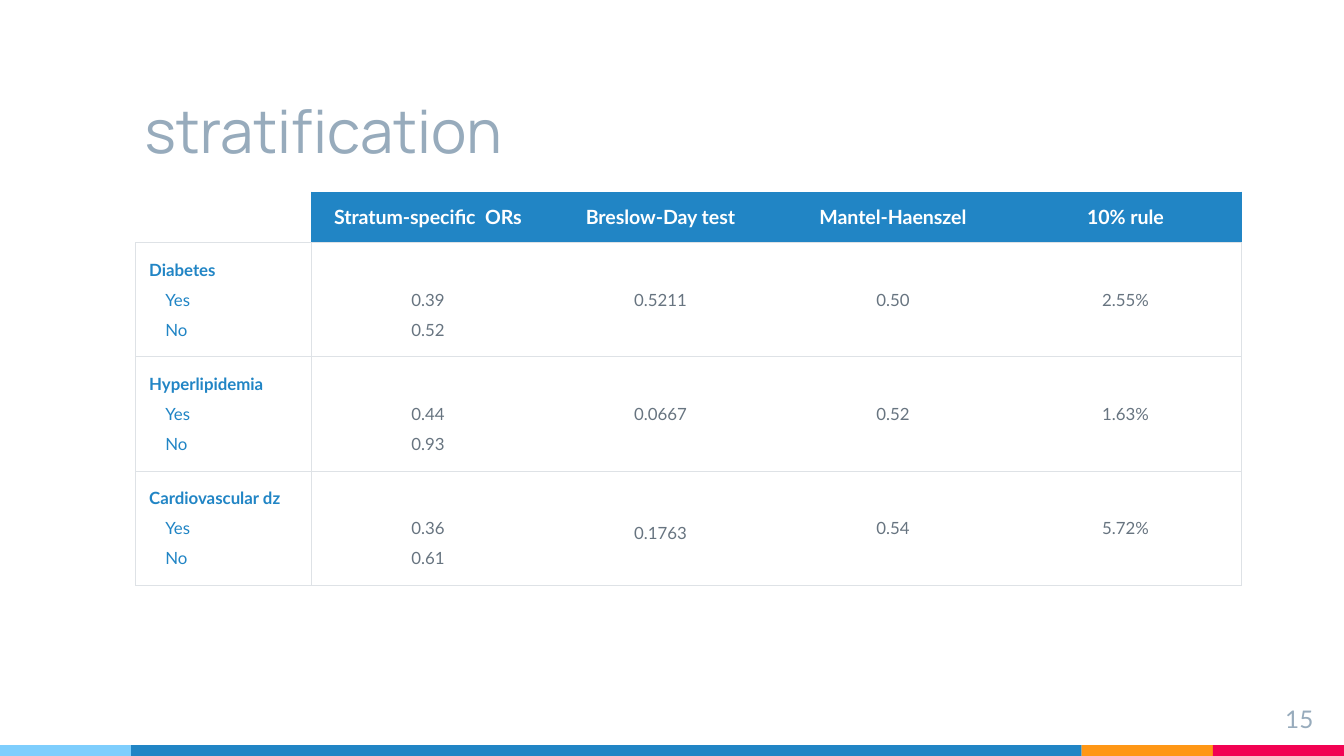
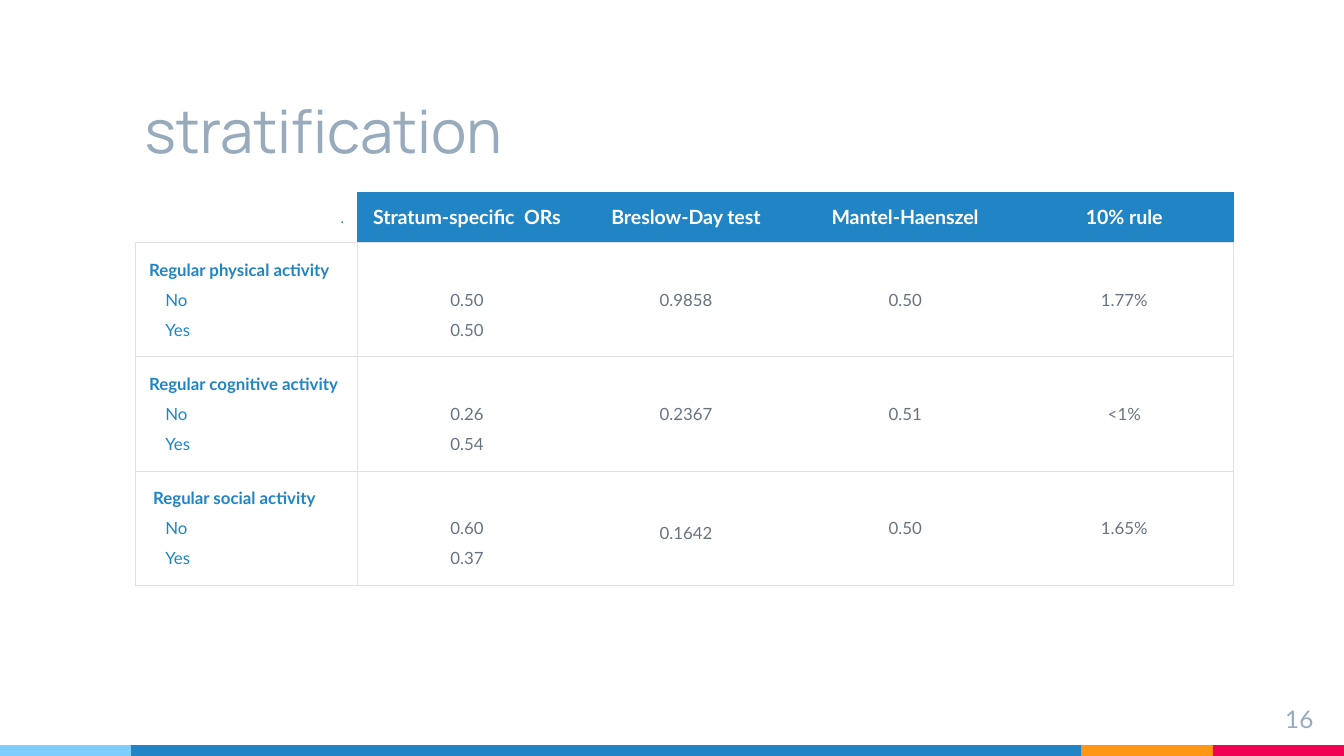
import pptx
import pptx.util
import pptx.dml.color
import pptx.enum.shapes
import pptx.enum.text
import pptx.oxml
import pptx.oxml.ns

Inch = pptx.util.Inches
Align = pptx.enum.text.PP_ALIGN
Anchor = pptx.enum.text.MSO_ANCHOR

# Shared look
BLUE, SKY, ORANGE, RED = "2185C5", "7ECEFD", "FF9715", "F20253"
WHITE, GREY, SLATE, RULE = "FFFFFF", "677480", "97ABBC", "DEE2E6"
HEAD, BODY = "Manrope", "Lato"
WIDE = 10
HIGH = WIDE * 9 / 16
UNIT = WIDE * 0.0976  # width of a short band
THIN = 0.08
BANDS = [(SKY, 0, UNIT), (BLUE, UNIT, WIDE - 3 * UNIT),
         (ORANGE, WIDE - 2 * UNIT, UNIT), (RED, WIDE - UNIT, UNIT)]
PAD = 0.1
LEFT, TOP = 1.01, 1.43
ROWS = [0.37, 0.85, 0.85, 0.85]
STEP = 0.225  # height of one spaced line in a cell
NO_STYLE = "{2D5ABB26-0587-4C30-8999-92F81FD0307C}"
HEADS = ["Stratum-specific  ORs", "Breslow-Day test", "Mantel-Haenszel", "10% rule"]

# Per slide: number, corner text, first and other column widths, answers,
# then per group: name, odds ratios, test, pooled ratio, change
PAGES = [
    ("15", "", 1.31, 1.73, ["Yes", "No"], [
        ("Diabetes", ["0.39", "0.52"], "0.5211", "0.50", "2.55%"),
        ("Hyperlipidemia", ["0.44", "0.93"], "0.0667", "0.52", "1.63%"),
        ("Cardiovascular dz", ["0.36", "0.61"], "0.1763", "0.54", "5.72%")]),
    ("16", ".", 1.65, 1.63, ["No", "Yes"], [
        ("Regular physical activity", ["0.50", "0.50"], "0.9858", "0.50", "1.77%"),
        ("Regular cognitive activity", ["0.26", "0.54"], "0.2367", "0.51", "<1%"),
        ("Regular social activity", ["0.60", "0.37"], "0.1642", "0.50", "1.65%")]),
]


def color(code):
    return pptx.dml.color.RGBColor.from_string(code)


def write(frame, lines, size, code, face=BODY, align=Align.LEFT):
    frame.text = "\n".join(lines)
    for par in frame.paragraphs:
        par.alignment = align
        par.font.size = pptx.util.Pt(size)
        par.font.name = face
        par.font.bold = False
        par.font.color.rgb = color(code)
    return frame.paragraphs


deck = pptx.Presentation()
deck.slide_width, deck.slide_height = Inch(WIDE), Inch(HIGH)

for number, corner, first, other, answers, groups in PAGES:
    slide = deck.slides.add_slide(deck.slide_layouts[5])

    # Bands along the bottom
    for code, left, width in BANDS:
        band = slide.shapes.add_shape(
            pptx.enum.shapes.MSO_SHAPE.RECTANGLE,
            Inch(left), Inch(HIGH - THIN), Inch(width), Inch(THIN))
        band.shadow.inherit = False
        band.fill.solid()
        band.fill.fore_color.rgb = color(code)
        band.line.fill.background()

    # Title and page number
    title = slide.shapes.title
    title.left, title.top = Inch(UNIT), Inch(0.39)
    title.width, title.height = Inch(WIDE - 3 * UNIT), Inch(0.94)
    page = slide.shapes.add_textbox(Inch(9.27), Inch(5.14), Inch(0.6), Inch(0.34))
    for box in (title, page):
        frame = box.text_frame
        frame.word_wrap = True
        frame.auto_size = pptx.enum.text.MSO_AUTO_SIZE.NONE
        frame.margin_left = frame.margin_right = Inch(PAD)
        frame.margin_top = frame.margin_bottom = Inch(PAD)
    title.text_frame.vertical_anchor = Anchor.BOTTOM
    write(title.text_frame, ["stratification"], 32, SLATE, HEAD)
    write(page.text_frame, [number], 13, SLATE, align=Align.RIGHT)

    # Table grid
    cols = [first] + [other] * len(HEADS)
    holder = slide.shapes.add_table(
        len(ROWS), len(cols), Inch(LEFT), Inch(TOP), Inch(sum(cols)), Inch(sum(ROWS)))
    for style in holder.element.iter(pptx.oxml.ns.qn("a:tableStyleId")):
        style.text = NO_STYLE
    table = holder.table
    table.first_row = table.horz_banding = False
    for col, width in zip(table.columns, cols):
        col.width = Inch(width)
    for row, height in zip(table.rows, ROWS):
        row.height = Inch(height)

    # Cell text
    cells = [[[corner]] + [[head] for head in HEADS]]
    for name, ratios, *rest in groups:
        cells.append([[name] + answers, ratios] + [[value] for value in rest])
    last = len(cols) - 1
    for r, line in enumerate(cells):
        for c, lines in enumerate(line):
            cell = table.cell(r, c)
            cell.vertical_anchor = Anchor.MIDDLE
            cell.margin_left = cell.margin_right = Inch(PAD)
            cell.margin_top = cell.margin_bottom = Inch(PAD if lines[0] else 0)
            if r == 0 and c == 0:
                write(cell.text_frame, lines, 8, BLUE, align=Align.RIGHT)
            elif r == 0:
                pars = write(cell.text_frame, lines, 10.5, WHITE, align=Align.CENTER)
                pars[0].font.bold = True
            elif c == 0:
                pars = write(cell.text_frame, lines, 9, BLUE)
                pars[0].font.bold = True
                if lines[0] == "Regular social activity":
                    pars[0]._p.get_or_add_pPr().set("marL", str(Inch(0.03)))
                for par in pars[1:]:
                    par.line_spacing = 1.5
                    par._p.get_or_add_pPr().set("marL", str(Inch(0.12)))
            else:
                pars = write(cell.text_frame, lines, 9, GREY, align=Align.CENTER)
                for par in pars[1:]:
                    par.line_spacing = 1.5
                if c == 1:
                    cell.margin_top = Inch(PAD + STEP)
                if (r, c) == (3, 2):
                    pars[0].line_spacing = 1.5

            # Cell borders, then fill
            edges = {"B": RULE}
            if r == 0:
                if c in (0, last):
                    edges["R"] = BLUE
                if c == 1:
                    edges["L"] = BLUE
                if c > 0:
                    edges["T"] = BLUE
            else:
                edges["T"] = RULE
                if c < 2:
                    edges["L"] = RULE
                if c in (0, last):
                    edges["R"] = RULE
            props = cell._tc.get_or_add_tcPr()
            for side in "LRTB":
                paint = "<a:noFill/>"
                if side in edges:
                    paint = f'<a:solidFill><a:srgbClr val="{edges[side]}"/></a:solidFill>'
                props.append(pptx.oxml.parse_xml(
                    f'<a:ln{side} {pptx.oxml.ns.nsdecls("a")} w="9525">{paint}</a:ln{side}>'))
            if r == 0 and c > 0:
                cell.fill.solid()
                cell.fill.fore_color.rgb = color(BLUE)
            else:
                cell.fill.background()

deck.save("out.pptx")
